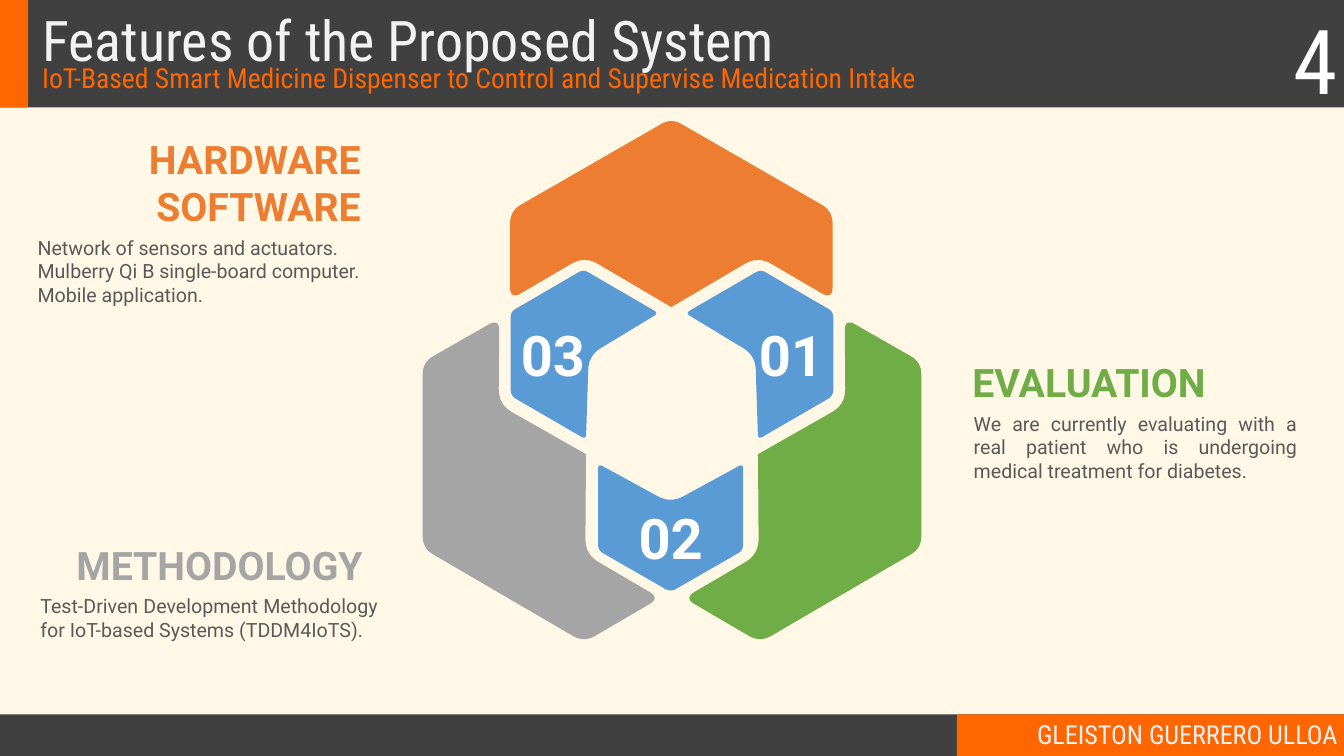
import dataclasses
import math

import pptx
import pptx.dml.color
import pptx.enum.shapes
import pptx.enum.text
import pptx.util

PX = 9144  # one px is a hundredth of an inch
STEPS = 8  # segments per rounded corner
ORANGE, GREEN, GREY, BLUE = "ED7D31", "70AD47", "A5A5A5", "5B9BD5"
DARK, VIVID, PALE, WHITE, BODY = "404040", "FF6600", "F2F2F2", "FFFFFF", "595959"
SANS, SLIM = "Roboto", "Roboto Condensed"
Align = pptx.enum.text.PP_ALIGN
Anchor = pptx.enum.text.MSO_ANCHOR
Corner = tuple[int, int, int]  # x, y, length cut off each edge


@dataclasses.dataclass
class Style:
    size: float
    font: str
    color: str
    align: Align = Align.LEFT
    anchor: Anchor = Anchor.TOP
    bold: bool = False
    pad: tuple[int, int, int, int] = (10, 5, 10, 5)
    line: float = 1.0


@dataclasses.dataclass
class Label:
    text: str
    box: tuple[int, int, int, int]
    style: Style


@dataclasses.dataclass
class Piece:
    color: str
    corners: list[Corner]
    text: str = ""
    style: Style | None = None


def rgb(code: str) -> pptx.dml.color.RGBColor:
    return pptx.dml.color.RGBColor.from_string(code)


def paint(shape, color: str) -> None:
    shape.shadow.inherit = False
    shape.fill.solid()
    shape.fill.fore_color.rgb = rgb(color)
    shape.line.fill.background()


def write(shape, text: str, style: Style) -> None:
    frame = shape.text_frame
    frame.word_wrap = True
    frame.auto_size = pptx.enum.text.MSO_AUTO_SIZE.NONE
    frame.vertical_anchor = style.anchor
    (frame.margin_left, frame.margin_top,
     frame.margin_right, frame.margin_bottom) = [p * PX for p in style.pad]
    frame.text = text
    for para in frame.paragraphs:
        para.alignment = style.align
        para.line_spacing = style.line
        for run in para.runs:
            run.font.size = pptx.util.Pt(style.size)
            run.font.name = style.font
            run.font.bold = style.bold
            run.font.color.rgb = rgb(style.color)


def add_bar(shapes, box: tuple[int, int, int, int], color: str) -> None:
    kind = pptx.enum.shapes.MSO_SHAPE.RECTANGLE
    paint(shapes.add_shape(kind, *[v * PX for v in box]), color)


def add_label(shapes, label: Label) -> None:
    box = shapes.add_textbox(*[v * PX for v in label.box])
    write(box, label.text, label.style)


def mirror(corners: list[Corner]) -> list[Corner]:
    """Flip corners about the slide's middle."""
    return [(2000 - x, y, cut) for x, y, cut in corners]


def toward(corner: Corner, other: Corner) -> tuple[float, float]:
    x, y, cut = corner
    part = cut / math.dist((x, y), other[:2])
    return x + (other[0] - x) * part, y + (other[1] - y) * part


def trace(corners: list[Corner]) -> list[tuple[int, int]]:
    """Turn corners into an outline with each corner rounded."""
    points = []
    for i, corner in enumerate(corners):
        start = toward(corner, corners[i - 1])
        end = toward(corner, corners[(i + 1) % len(corners)])
        steps = STEPS if corner[2] else 0
        for step in range(steps + 1):
            t = step / STEPS
            points.append(tuple(
                round(PX * ((1 - t) ** 2 * a + 2 * t * (1 - t) * b + t * t * c))
                for a, b, c in zip(start, corner, end)))
    return points


def add_piece(shapes, piece: Piece) -> None:
    points = trace(piece.corners)
    path = shapes.build_freeform(*points[0], scale=1.0)
    path.add_line_segments(points[1:], close=True)
    shape = path.convert_to_shape()
    paint(shape, piece.color)
    if piece.style:
        write(shape, piece.text, piece.style)


def number(align: Align, anchor: Anchor, pad: tuple[int, int, int, int]) -> Style:
    return Style(60, SANS, WHITE, align, anchor, True, pad)


def heading(color: str, align: Align) -> Style:
    return Style(42, SANS, color, align, Anchor.BOTTOM, True, (0, 5, 0, 5))


# Outlines, clockwise from the top
ROOF = [(999, 176, 17), (1239, 314, 19), (1239, 446, 19), (1128, 381, 23),
        (999, 457, 0), (870, 381, 23), (759, 446, 19), (759, 314, 19)]
WING = [(1257, 474, 18), (1371, 539, 18), (1371, 816, 18), (1131, 956, 19),
        (1018, 890, 18), (1129, 825, 23), (1128, 676, 0), (1258, 602, 23)]
BLADE = [(868, 401, 8), (980, 466, 8), (876, 529, 21), (872, 654, 8),
         (760, 589, 9), (760, 464, 8)]
BASE = [(890, 690, 8), (998, 749, 22), (1106, 690, 8), (1106, 819, 9),
        (998, 881, 9), (890, 819, 9)]

PIECES = [
    Piece(ORANGE, ROOF),
    Piece(BLUE, BLADE, "03", number(Align.LEFT, Anchor.MIDDLE, (15, 5, 10, 5))),
    Piece(BLUE, mirror(BLADE), "01", number(Align.RIGHT, Anchor.MIDDLE, (0, 5, 15, 5))),
    Piece(GREEN, WING),
    Piece(GREY, mirror(WING)),
    Piece(BLUE, BASE, "02", number(Align.CENTER, Anchor.BOTTOM, (10, 5, 10, 30))),
]

BARS = [((0, 1063, 2000, 62), DARK), ((1424, 1063, 576, 62), VIVID),
        ((0, 0, 2000, 160), DARK), ((0, 0, 42, 160), VIVID)]

NOTE = Style(21, SANS, BODY, Align.JUSTIFY, pad=(0, 5, 0, 5))
LABELS = [
    Label("GLEISTON GUERRERO ULLOA", (1325, 1063, 675, 60),
          Style(28, SLIM, PALE, Align.RIGHT, Anchor.MIDDLE)),
    Label("4", (1550, 0, 450, 176),
          Style(96, SLIM, WHITE, Align.RIGHT, Anchor.MIDDLE)),
    Label("IoT-Based Smart Medicine Dispenser to Control and Supervise "
          "Medication Intake", (53, 99, 1930, 49), Style(29.6, SLIM, VIVID, line=0.7)),
    Label("EVALUATION", (1447, 527, 482, 81), heading(GREEN, Align.LEFT)),
    Label("We are currently evaluating with a real patient who is undergoing "
          "medical treatment for diabetes.", (1449, 608, 481, 116), NOTE),
    Label("METHODOLOGY", (58, 799, 482, 81), heading(GREY, Align.RIGHT)),
    Label("Test-Driven Development Methodology for IoT-based Systems "
          "(TDDM4IoTS).", (60, 879, 502, 81), NOTE),
    Label("HARDWARE\nSOFTWARE", (55, 195, 482, 151), heading(ORANGE, Align.RIGHT)),
    Label("Network of sensors and actuators.\nMulberry Qi B single-board computer.\n"
          "Mobile application.", (56, 346, 524, 116), NOTE),
]


def main() -> None:
    deck = pptx.Presentation()
    deck.slide_width, deck.slide_height = 2000 * PX, 1125 * PX
    slide = deck.slides.add_slide(deck.slide_layouts[5])
    slide.background.fill.solid()
    slide.background.fill.fore_color.rgb = rgb("FFF8E6")
    shapes = slide.shapes

    # Header and footer bars
    for box, color in BARS:
        add_bar(shapes, box, color)

    # Title, brought in front of the bars
    title = shapes.title
    title.left, title.top, title.width, title.height = [
        v * PX for v in (53, 14, 1930, 84)]
    write(title, "Features of the Proposed System", Style(60, SLIM, PALE, line=0.9))
    shapes._spTree.append(title._element)

    # Hexagon pieces and texts
    for piece in PIECES:
        add_piece(shapes, piece)
    for label in LABELS:
        add_label(shapes, label)

    deck.save("out.pptx")


if __name__ == "__main__":
    main()
